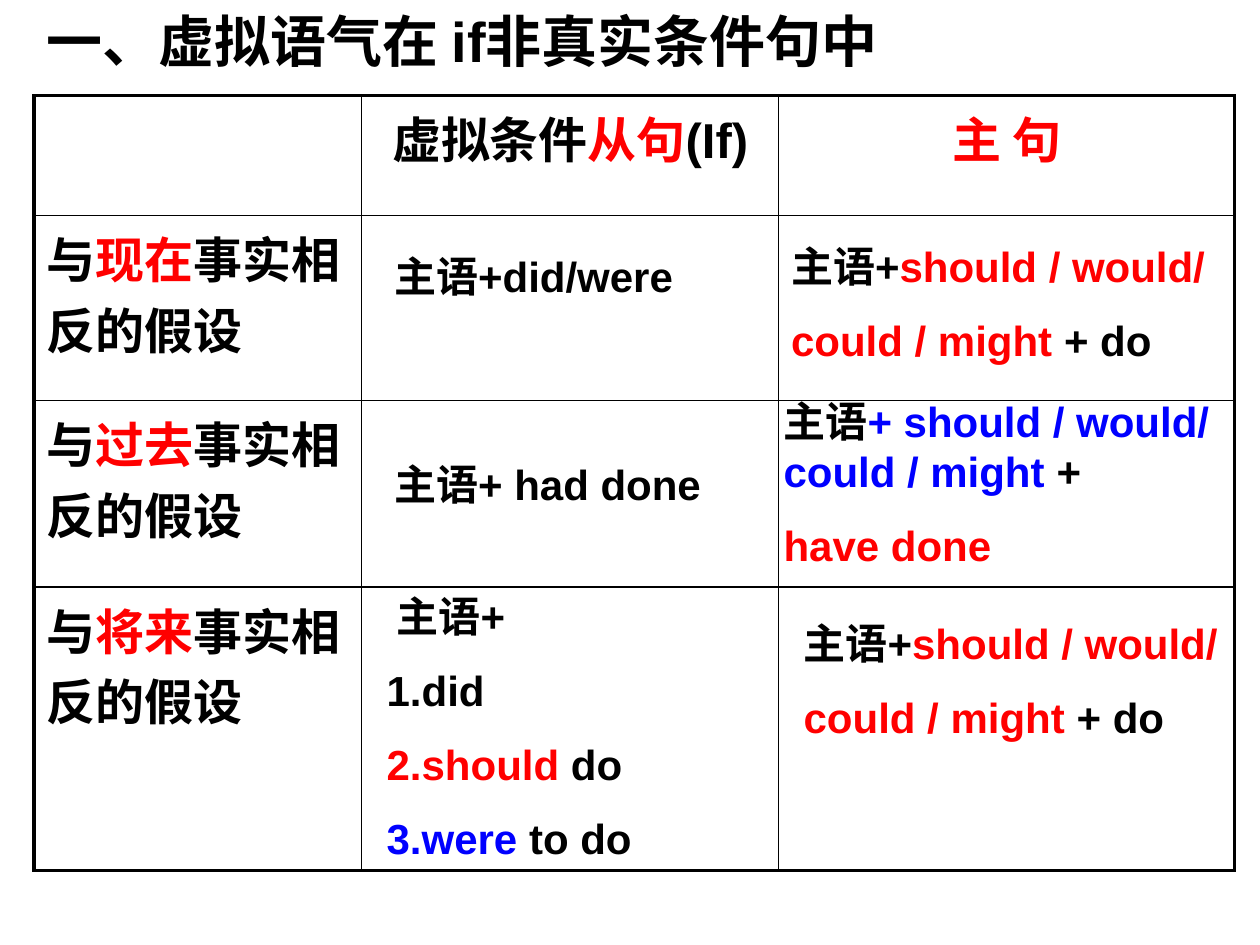
"""Build a slide on the subjunctive mood in unreal if-clauses."""
from itertools import accumulate
from lxml.etree import SubElement
from pptx import Presentation
from pptx.dml.color import RGBColor
from pptx.enum.text import MSO_AUTO_SIZE, PP_ALIGN
from pptx.oxml.ns import qn
from pptx.util import Inches, Pt

HUES = {"k": "000000", "r": "FF0000", "b": "0000FF"}
COLS = [2.6, 3.31, 3.62]
ROWS = [0.95, 1.47, 1.48, 2.25]
LEFTS = list(accumulate(COLS, initial=0.27))
TOPS = list(accumulate(ROWS, initial=0.76))


def write(frame, lines, size, align=PP_ALIGN.LEFT):
    for i, line in enumerate(lines):
        para = frame.paragraphs[0] if i == 0 else frame.add_paragraph()
        para.alignment = align
        if i:
            para.space_before = Pt(13.5)
        for hue, text in line:
            run = para.add_run()
            run.text = text
            look = {"name": "Arial", "size": Pt(size), "bold": True}
            for key, value in look.items():
                setattr(run.font, key, value)
            run.font.color.rgb = RGBColor.from_string(HUES[hue])


def place(slide, left, top, width, height, lines, size=24):
    box = slide.shapes.add_textbox(*map(Inches, (left, top, width, height)))
    frame = box.text_frame
    frame.word_wrap = True
    frame.auto_size = MSO_AUTO_SIZE.SHAPE_TO_FIT_TEXT
    write(frame, lines, size)
    return frame


deck = Presentation()
deck.slide_width, deck.slide_height = Inches(10), Inches(7.5)
slide = deck.slides.add_slide(deck.slide_layouts[6])

place(slide, LEFTS[0], 0, 9.37, 0.63, [[("k", "一、虚拟语气在 if非真实条件句中")]], 32)

table = slide.shapes.add_table(
    len(ROWS), len(COLS), Inches(LEFTS[0]), Inches(TOPS[0]),
    Inches(sum(COLS)), Inches(sum(ROWS))).table
table.first_row = table.horz_banding = False
for col, width in zip(table.columns, COLS):
    col.width = Inches(width)
for row, height in zip(table.rows, ROWS):
    row.height = Inches(height)

for r in range(len(ROWS)):
    for c in range(len(COLS)):
        cell = table.cell(r, c)
        props = cell._tc.get_or_add_tcPr()
        outer = {"L": c == 0, "R": c == len(COLS) - 1,
                 "T": r == 0, "B": r == len(ROWS) - 1}
        for side, thick in outer.items():
            line = SubElement(props, qn(f"a:ln{side}"), w=str(Pt(2.25 if thick else 1)))
            fill = SubElement(line, qn("a:solidFill"))
            SubElement(fill, qn("a:srgbClr"), val=HUES["k"])
        cell.fill.background()

heads = [[("k", "虚拟条件"), ("r", "从句"), ("k", "(If)")], [("r", "主 句")]]
for c, head in enumerate(heads, 1):
    write(table.cell(0, c).text_frame, [head], 28, PP_ALIGN.CENTER)
for r, time in enumerate(["现在", "过去", "将来"], 1):
    label = [("k", "与"), ("r", time), ("k", "事实相反的假设")]
    write(table.cell(r, 0).text_frame, [label], 28)

would = [[("k", "主语+"), ("r", "should / would/")],
         [("r", "could / might"), ("k", " + do")]]
past = [[("k", "主语"), ("b", "+ should / would/ could / might "), ("k", "+")],
        [("r", "have done")]]
future = [[("k", "主语+")], [("k", "1.did")],
          [("r", "2.should"), ("k", " do")],
          [("b", "3.were"), ("k", " to do")]]
notes = [
    (1, 1, 0.16, 0.23, 2.99, 0.51, [[("k", "主语+did/were")]]),
    (2, 1, 0, 0.15, 3.62, 1.11, would),
    (1, 2, 0.16, 0.41, 2.99, 0.51, [[("k", "主语+ had done")]]),
    (2, 2, -0.06, -0.09, 4.49, 1.51, past),
    (1, 3, 0.1, -0.02, 3.15, 2.32, future),
    (2, 3, 0.1, 0.19, 3.62, 1.11, would),
]
for c, r, dx, dy, width, height, lines in notes:
    frame = place(slide, LEFTS[c] + dx, TOPS[r] + dy, width, height, lines)
    if lines is future:
        frame.paragraphs[0]._p.get_or_add_pPr().set("indent", str(Inches(0.08)))

deck.save("out.pptx")
